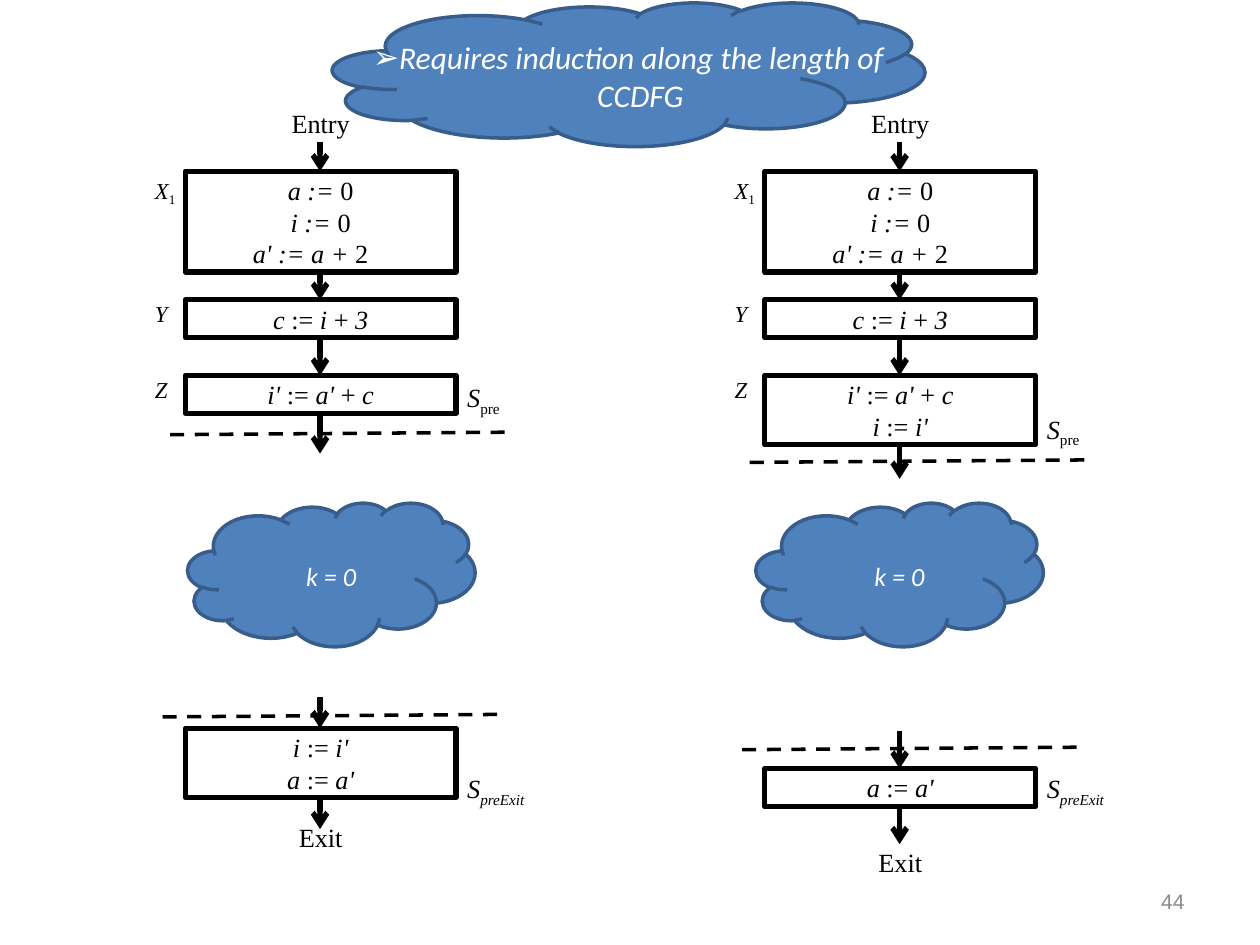
import pptx
import pptx.util
import pptx.dml.color
import pptx.enum.dml
import pptx.enum.shapes
import pptx.enum.text
import pptx.oxml
import pptx.oxml.ns

BLACK = pptx.dml.color.RGBColor(0x00, 0x00, 0x00)
WHITE = pptx.dml.color.RGBColor(0xFF, 0xFF, 0xFF)
BLUE = pptx.dml.color.RGBColor(0x4F, 0x81, 0xBD)
NAVY = pptx.dml.color.RGBColor(0x38, 0x5D, 0x8A)
GRAY = pptx.dml.color.RGBColor(0x89, 0x89, 0x89)

SERIF = "Times New Roman"
WIDTH = pptx.util.Inches(10)
HEIGHT = pptx.util.Inches(7.5)
COL = WIDTH / 100
ROW = HEIGHT / 75
ALIGN = pptx.enum.text.PP_ALIGN
MIDDLE = pptx.enum.text.MSO_ANCHOR.MIDDLE
SHAPE = pptx.enum.shapes.MSO_SHAPE

BLOCK_LEFT, BLOCK_WIDTH = 2.8, 21.5
AXIS = 13.5
STATE_LEFT = 24.2
LINE_ROWS, PAD_ROWS = 2.5, 0.5
SET_UP = ["_a := _0", "_i := _0", "_a' := a + _2"]
ADD = ["_c _:=_ i _+_ 3_"]
SUM = "_i' _:=_ a' _+ _c_"
COPY_I = "_i _:= _i'_"
COPY_A = "_a _:=_ a'_"


def cells(left, top, width, height):
    return [round(n) for n in (left * COL, top * ROW, width * COL, height * ROW)]


def write(frame, lines, size, color=BLACK, font=SERIF, align=ALIGN.CENTER,
          inset=(0.4, 0.2)):
    frame.word_wrap = True
    frame.margin_left = frame.margin_right = round(inset[0] * COL)
    frame.margin_top = frame.margin_bottom = round(inset[1] * ROW)
    for index, markup in enumerate(lines):
        paragraph = frame.paragraphs[0] if index == 0 else frame.add_paragraph()
        paragraph.alignment = align
        for turn, piece in enumerate(markup.split("_")):
            for level, text in enumerate(piece.split("~")):
                if not text:
                    continue
                run = paragraph.add_run()
                run.text = text
                run.font.size = pptx.util.Pt(size)
                run.font.name = font
                run.font.color.rgb = color
                run.font.italic = turn % 2 == 1
                if level:
                    run.font._element.set("baseline", "-25000")


def add_label(slide, box, markup, size, **style):
    label = slide.shapes.add_textbox(*cells(*box))
    write(label.text_frame, [markup], size, **style)
    return label


def add_line(slide, start, end, width, dashed=False):
    points = [round(n) for n in (start[0] * COL, start[1] * ROW,
                                 end[0] * COL, end[1] * ROW)]
    line = slide.shapes.add_connector(
        pptx.enum.shapes.MSO_CONNECTOR.STRAIGHT, *points)
    line.line.color.rgb = BLACK
    line.line.width = pptx.util.Pt(width)
    if dashed:
        line.line.dash_style = pptx.enum.dml.MSO_LINE.DASH
    else:
        head = pptx.oxml.parse_xml(
            f'<a:tailEnd {pptx.oxml.ns.nsdecls("a")} type="arrow"/>')
        line.line._get_or_add_ln().append(head)
    line._element.spPr.append(
        pptx.oxml.parse_xml(f'<a:effectLst {pptx.oxml.ns.nsdecls("a")}/>'))


def add_block(slide, left, top, statements):
    height = PAD_ROWS + LINE_ROWS * len(statements)
    block = slide.shapes.add_shape(
        SHAPE.RECTANGLE, *cells(left + BLOCK_LEFT, top, BLOCK_WIDTH, height))
    block.shadow.inherit = False
    block.fill.background()
    block.line.color.rgb = BLACK
    block.line.width = pptx.util.Pt(3)
    write(block.text_frame, statements, 15)
    if statements is SET_UP:
        last = block.text_frame.paragraphs[-1]
        last._p.get_or_add_pPr().set("marR", str(round(1.6 * COL)))
    return top + height


def add_cloud(slide, box, markup, size):
    cloud = slide.shapes.add_shape(SHAPE.CLOUD, *cells(*box))
    cloud.shadow.inherit = False
    cloud.fill.solid()
    cloud.fill.fore_color.rgb = BLUE
    cloud.line.color.rgb = NAVY
    cloud.line.width = pptx.util.Pt(2)
    frame = cloud.text_frame
    write(frame, [markup], size, WHITE, "Calibri")
    frame.vertical_anchor = MIDDLE
    frame.margin_left = round((1 - 0.14 * box[2]) * COL)
    frame.margin_right = round((1 - 0.21 * box[2]) * COL)
    frame.margin_top = round(1 * ROW)
    return frame.paragraphs[0]


def add_heading(slide, box):
    claim = add_cloud(
        slide, box, "_Requires induction along the length of CCDFG_", 18)
    props = claim._p.get_or_add_pPr()
    props.set("marL", str(round(1.9 * COL)))
    props.set("indent", str(round(-1.9 * COL)))
    for bullet in ('<a:buClr {}><a:srgbClr val="FFFFFF"/></a:buClr>',
                   '<a:buFont {} typeface="Arial"/>',
                   '<a:buChar {} char="➢"/>'):
        props.append(pptx.oxml.parse_xml(
            bullet.format(pptx.oxml.ns.nsdecls("a"))))


def add_cut(slide, left, row):
    add_line(slide, (left, row), (left + 27, row - 0.2), 2, dashed=True)


def add_state(slide, left, top, markup, width):
    add_label(slide, (left + STATE_LEFT, top, width, 3.9), markup, 15,
              align=ALIGN.LEFT, inset=(1, 0.5))


def add_prefix(slide, left, top, last_statements, tail, cut):
    axis = left + AXIS
    add_label(slide, (axis - 3.5, top, 7.1, 3), "Entry", 15)
    bottom = top + 3
    steps = [("_X_~1", 0.2, 2.3, SET_UP), ("_Y_", -0.2, 2.2, ADD),
             ("_Z_", -0.2, 3, last_statements)]
    for name, shift, gap, statements in steps:
        block_top = bottom + gap
        add_line(slide, (axis, bottom), (axis, block_top), 3)
        add_label(slide, (left, block_top + shift, 2.6, 2.6), name, 13,
                  align=ALIGN.LEFT)
        bottom = add_block(slide, left, block_top, statements)
    add_line(slide, (axis, bottom), (axis, bottom + tail), 3)
    add_cut(slide, left + 1.6, bottom + cut)
    add_state(slide, left, bottom - 3, "_S_~pre", 5.1)


def add_suffix(slide, left, top, statements, gap, cut, exit_top):
    axis = left + AXIS
    add_line(slide, (axis, top - gap), (axis, top), 3)
    add_cut(slide, left + 1, top - cut)
    bottom = add_block(slide, left, top, statements)
    add_line(slide, (axis, bottom), (axis, bottom + gap), 3)
    add_state(slide, left, 60.8, "_S~preExit_", 6.9)
    add_label(slide, (axis - 3.5, exit_top, 7.1, 3), "Exit", 15)


def build():
    deck = pptx.Presentation()
    deck.slide_width, deck.slide_height = WIDTH, HEIGHT
    slide = deck.slides.add_slide(deck.slide_layouts[6])
    before, after = 11.9, 57.9
    add_prefix(slide, before, 8.3, [SUM], 3.2, 1.7)
    add_suffix(slide, before, 57.8, [COPY_I, COPY_A], 2.5, 0.9, 65)
    add_heading(slide, (26.4, 0.2, 47, 11.4))
    add_prefix(slide, after, 8.3, [SUM, COPY_I], 2.7, 1.4)
    add_suffix(slide, after, 61, [COPY_A], 3, 1.5, 67)
    for left in (14.9, 60):
        add_cloud(slide, (left, 39.9, 22.8, 11.4), "_k = 0_", 15)
    number = add_label(slide, (71.7, 69.5, 23.3, 4), "44", 12, color=GRAY,
                       font="Arial", align=ALIGN.RIGHT, inset=(1, 0.5))
    number.text_frame.vertical_anchor = MIDDLE
    deck.save("out.pptx")


if __name__ == "__main__":
    build()
